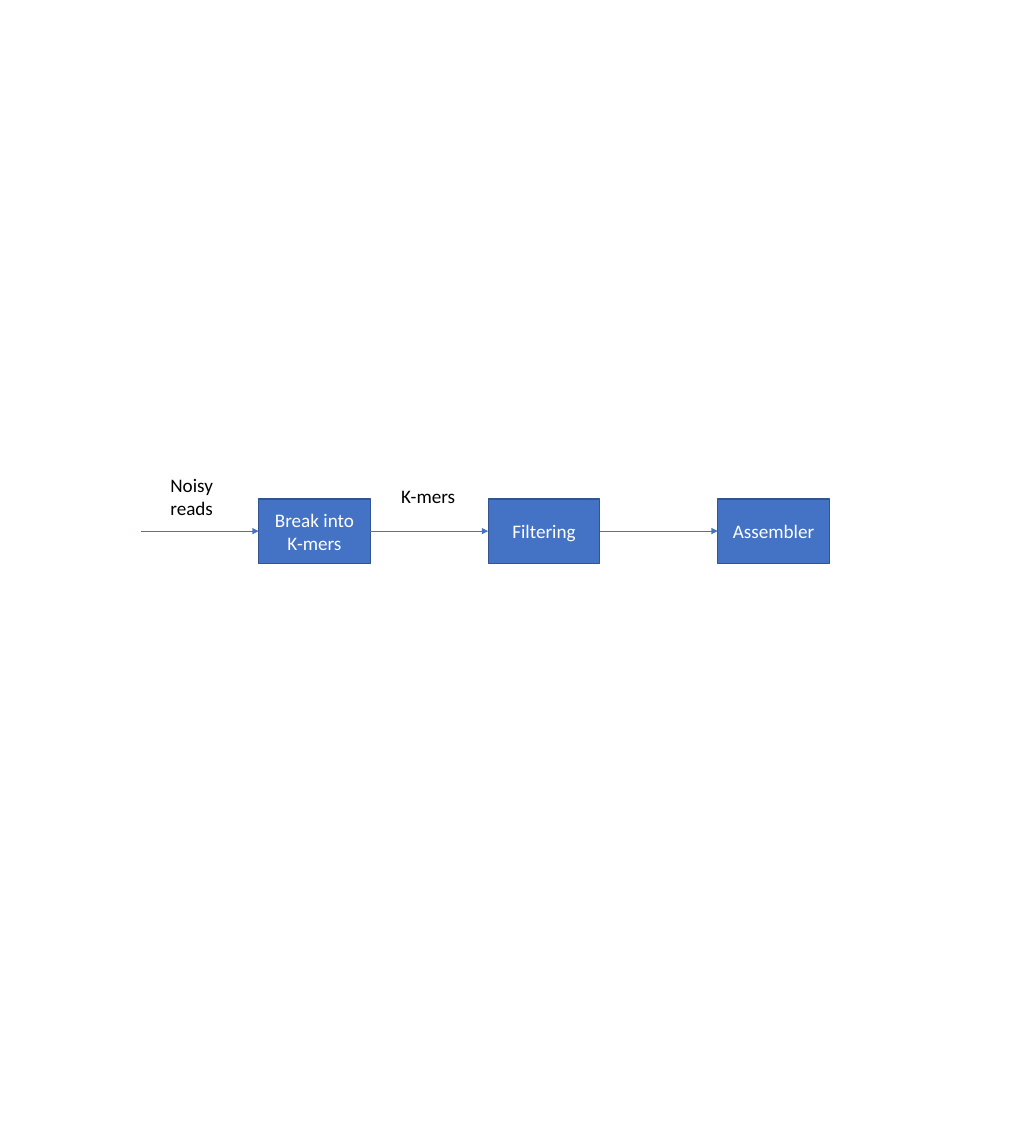
import pptx
import pptx.dml.color
import pptx.enum.shapes
import pptx.enum.text
import pptx.oxml
import pptx.oxml.ns
import pptx.util

PX = 9144  # EMU per px, 100 px to the inch
COLOURS = {"box": "4472C4", "border": "325491", "light": "FFFFFF", "dark": "000000"}

BOX_LEFT, BOX_TOP, BOX_WIDTH, BOX_HEIGHT = 338, 652, 146, 84
GAP = 154
STEPS = ["Break into K-mers", "Filtering", "Assembler"]
LABELS = [
    ("Noisy reads", (189, 613, 123, 71)),
    ("K-mers", (507, 628, 105, 40)),
]


def emu(*lengths):
    return [length * PX for length in lengths]


def colour(name):
    return pptx.dml.color.RGBColor.from_string(COLOURS[name])


def write_text(shape, text, colour_name, **frame_format):
    frame = shape.text_frame
    frame.word_wrap = True
    for name, value in frame_format.items():
        setattr(frame, name, value)
    para = frame.paragraphs[0]
    para.alignment = pptx.enum.text.PP_ALIGN.CENTER
    span = para.add_run()
    span.text = text
    for name, value in {"name": "Calibri", "size": pptx.util.Pt(18)}.items():
        setattr(span.font, name, value)
    span.font.color.rgb = colour(colour_name)


def add_step(page, text, left):
    box = page.shapes.add_shape(
        pptx.enum.shapes.MSO_SHAPE.RECTANGLE,
        *emu(left, BOX_TOP, BOX_WIDTH, BOX_HEIGHT))
    box.shadow.inherit = False
    box.fill.solid()
    box.fill.fore_color.rgb = colour("box")
    box.line.color.rgb = colour("border")
    box.line.width = pptx.util.Pt(1)
    write_text(box, text, "light",
               vertical_anchor=pptx.enum.text.MSO_ANCHOR.MIDDLE)
    return box


def add_arrow(page, target, left, source=None):
    middle = BOX_TOP + BOX_HEIGHT // 2
    arrow = page.shapes.add_connector(
        pptx.enum.shapes.MSO_CONNECTOR.STRAIGHT,
        *emu(left, middle, left + GAP, middle))
    if source is not None:
        arrow.begin_connect(source, 3)
    arrow.end_connect(target, 1)
    arrow.line.color.rgb = colour("box")
    arrow.line.width = pptx.util.Pt(0.5)
    # Arrowhead at the end, and no shadow
    line = arrow.line._get_or_add_ln()
    head = pptx.oxml.parse_xml(
        f'<a:tailEnd {pptx.oxml.ns.nsdecls("a")} type="triangle"/>')
    line.append(head)
    effects = pptx.oxml.parse_xml(f'<a:effectLst {pptx.oxml.ns.nsdecls("a")}/>')
    line.addnext(effects)


def add_label(page, text, place):
    label = page.shapes.add_textbox(*emu(*place))
    write_text(label, text, "dark",
               auto_size=pptx.enum.text.MSO_AUTO_SIZE.SHAPE_TO_FIT_TEXT)


def main():
    deck = pptx.Presentation()
    deck.slide_width, deck.slide_height = emu(1333, 1500)
    page = deck.slides.add_slide(deck.slide_layouts[6])

    # Pipeline: each step is entered by an arrow from the step before
    previous = None
    for index, text in enumerate(STEPS):
        left = BOX_LEFT + index * (BOX_WIDTH + GAP)
        box = add_step(page, text, left)
        add_arrow(page, box, left - GAP, previous)
        previous = box

    # Labels above the arrows
    for text, place in LABELS:
        add_label(page, text, place)

    deck.save("out.pptx")


if __name__ == "__main__":
    main()
